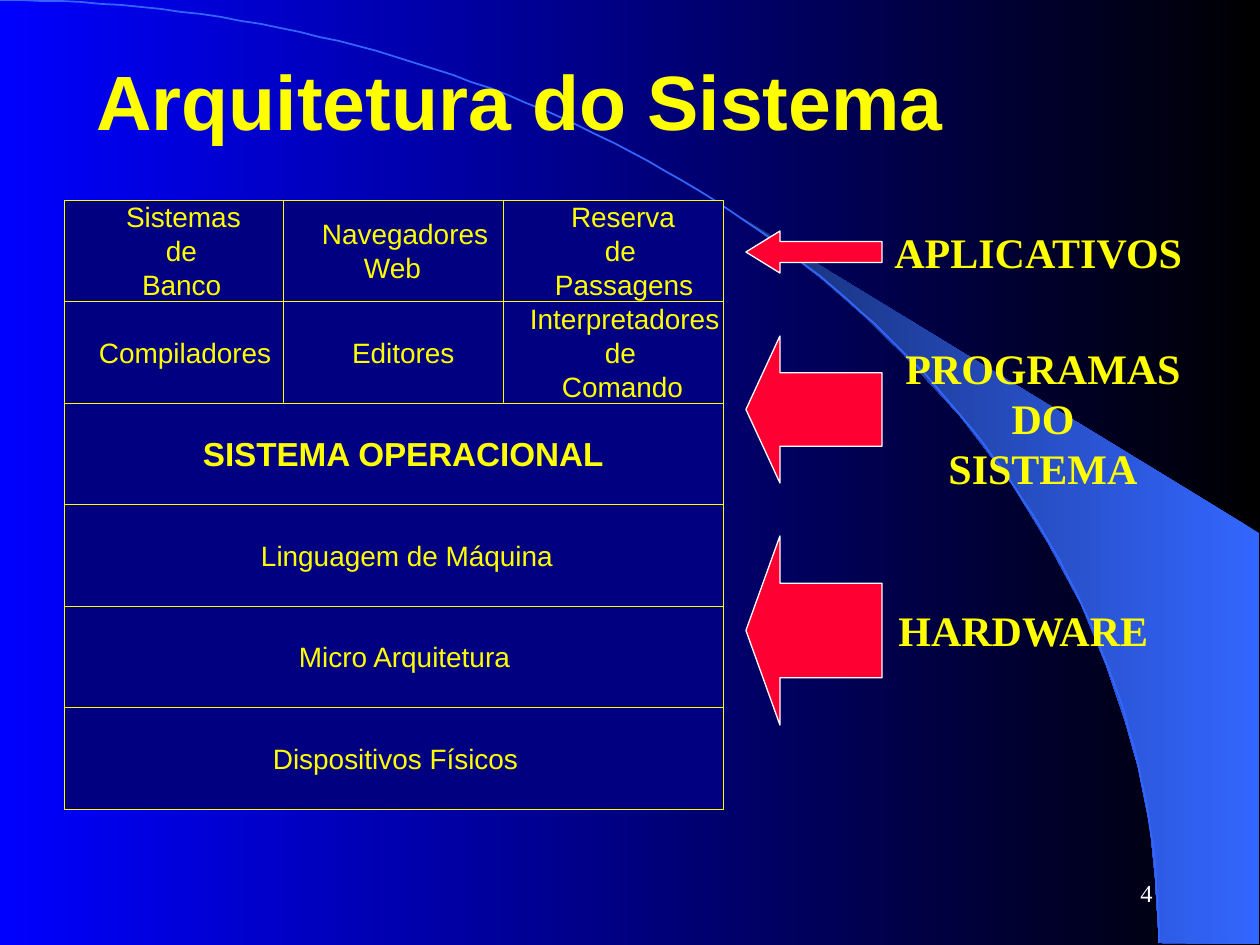
from math import cos, pi, sin

from pptx import Presentation
from pptx.dml.color import RGBColor
from pptx.enum.shapes import MSO_SHAPE as Shape
from pptx.enum.text import MSO_ANCHOR as Anchor, MSO_AUTO_SIZE as AutoSize, PP_ALIGN as Align
from pptx.util import Emu, Pt

EMU_PER_PX = 914400 / 126
YELLOW, WHITE, BLACK = "FFFF00", "FFFFFF", "000000"
BLUE, NAVY, SKY, DUSK, RED = "0000FF", "000080", "3366FF", "172F75", "FF0033"
SANS, SERIF = "Arial", "Times New Roman"


def px(length):
    return Emu(round(length * EMU_PER_PX))


def color(hex_code):
    return RGBColor.from_string(hex_code)


class SlideBuilder:
    def __init__(self, page):
        self.page = page

    def gradient(self, fill, start, end):
        fill.gradient()
        fill.gradient_angle = 180
        for stop, hex_code in zip(fill.gradient_stops, (start, end)):
            stop.color.rgb = color(hex_code)

    def outline(self, shape, hex_code, weight):
        shape.line.color.rgb = color(hex_code)
        shape.line.width = Pt(weight)

    def shape(self, kind, left, top, width, height, fill, line, weight, adjust=()):
        shape = self.page.shapes.add_shape(kind, px(left), px(top), px(width), px(height))
        shape.shadow.inherit = False
        shape.fill.solid()
        shape.fill.fore_color.rgb = color(fill)
        self.outline(shape, line, weight)
        for index, value in enumerate(adjust):
            shape.adjustments[index] = value

    def freeform(self, points, close):
        builder = self.page.shapes.build_freeform(*points[0], scale=EMU_PER_PX)
        builder.add_line_segments(points[1:], close=close)
        shape = builder.convert_to_shape()
        shape.shadow.inherit = False
        return shape

    def wedge(self, points):
        shape = self.freeform(points, close=True)
        self.gradient(shape.fill, SKY, DUSK)
        shape.line.fill.background()

    def curve(self, points):
        shape = self.freeform(points, close=False)
        shape.fill.background()
        self.outline(shape, SKY, 1)

    def text(self, lines, left, top, width, height, size, font=SANS, bold=False,
             hue=YELLOW, align=Align.LEFT, anchor=Anchor.TOP, wrap=False, inset=True):
        box = self.page.shapes.add_textbox(px(left), px(top), px(width), px(height))
        frame = box.text_frame
        frame.word_wrap = wrap
        frame.auto_size = AutoSize.NONE if wrap else AutoSize.SHAPE_TO_FIT_TEXT
        frame.vertical_anchor = anchor
        if not inset:
            frame.margin_left = frame.margin_right = 0
            frame.margin_top = frame.margin_bottom = 0
        for index, line in enumerate(lines):
            para = frame.add_paragraph() if index else frame.paragraphs[0]
            para.alignment = align
            span = para.add_run()
            span.text = line
            span.font.name = font
            span.font.size = Pt(size)
            span.font.bold = bold
            span.font.color.rgb = color(hue)

    def layer(self, row, column, columns, lines, size=16, bold=False):
        """One cell of the stack, its lines centred over the cell's height."""
        left, top = 64 + GRID_WIDTH * column / 3, 200 + ROW_HEIGHT * row
        self.shape(Shape.RECTANGLE, left, top, GRID_WIDTH * columns / 3, ROW_HEIGHT,
                   NAVY, YELLOW, 0.37)
        pitch = 40 if bold else 34
        first = top + (ROW_HEIGHT - pitch * len(lines)) / 2
        for index, (line, line_left, width) in enumerate(lines):
            self.text([line], line_left, first + pitch * index, width, pitch,
                      size, bold=bold, inset=False)


GRID_WIDTH, ROW_HEIGHT = 659, 101.5

# Quarter ellipse from the top left corner to the bottom edge
ARC_STEPS = 90
ARC = [(1159 * sin(step * pi / 2 / ARC_STEPS), 943 * (1 - cos(step * pi / 2 / ARC_STEPS)))
       for step in range(ARC_STEPS + 1)]

# Wedge behind the arc: outer corners, then the curved inner edge
WEDGE = [(1159, 943), (1259, 944), (1259, 533), (742, 218), (786, 251), (823, 280),
         (863, 315), (902, 353), (960, 416), (1012, 484), (1048, 543), (1081, 604),
         (1106, 665), (1125, 721), (1138, 767), (1150, 827), (1155, 877)]

# Row, column, columns covered, lines as (text, left, width)
LAYERS = [
    (0, 0, 1, [("Sistemas", 126, 119), ("de", 166, 36), ("Banco", 142, 84)]),
    (0, 1, 1, [("Navegadores", 322, 171), ("Web", 364, 62)]),
    (0, 2, 1, [("Reserva", 571, 109), ("de", 605, 36), ("Passagens", 555, 143)]),
    (1, 0, 1, [("Compiladores", 99, 177)]),
    (1, 2, 1, [("Interpretadores", 530, 194), ("de", 605, 36), ("Comando", 562, 126)]),
    (1, 1, 1, [("Editores", 352, 107)]),
    (2, 0, 3, [("SISTEMA OPERACIONAL", 203, 406)], 19, True),
    (5, 0, 3, [("Dispositivos Físicos", 273, 250)]),
    (4, 0, 3, [("Micro Arquitetura", 299, 217)]),
    (3, 0, 3, [("Linguagem de Máquina", 261, 296)]),
]

# Top, height, head length
ARROWS = [(231, 42, 0.81), (336, 147, 0.25), (536, 189, 0.25)]

# Lines, left, top, width, height
LABELS = [
    (["HARDWARE"], 886, 598, 284, 63),
    (["APLICATIVOS"], 882, 220, 320, 63),
    (["PROGRAMAS", "DO", "SISTEMA"], 890, 336, 306, 164),
]


def main():
    deck = Presentation()
    deck.slide_width, deck.slide_height = px(1260), px(945)
    page = deck.slides.add_slide(deck.slide_layouts[6])
    slide = SlideBuilder(page)

    # Background
    slide.gradient(page.background.fill, BLACK, BLUE)
    slide.wedge(WEDGE)
    slide.curve(ARC)

    # Title
    slide.text(["Arquitetura do Sistema"], 84, 21, 1134, 158, 44, bold=True,
               anchor=Anchor.MIDDLE, wrap=True)

    # Stack of system layers
    for layer in LAYERS:
        slide.layer(*layer)

    # Arrows and group labels
    for top, height, head in ARROWS:
        slide.shape(Shape.LEFT_ARROW, 746, top, 136, height, RED, WHITE, 0.75, (0.5, head))
    for label in LABELS:
        align = Align.CENTER if len(label[0]) > 1 else Align.LEFT
        slide.text(*label, 24, font=SERIF, bold=True, align=align)

    # Page number
    slide.text(["4"], 903, 861, 262, 63, 14, font=SERIF, hue=WHITE,
               align=Align.RIGHT, anchor=Anchor.MIDDLE, wrap=True)

    deck.save("out.pptx")


if __name__ == "__main__":
    main()
